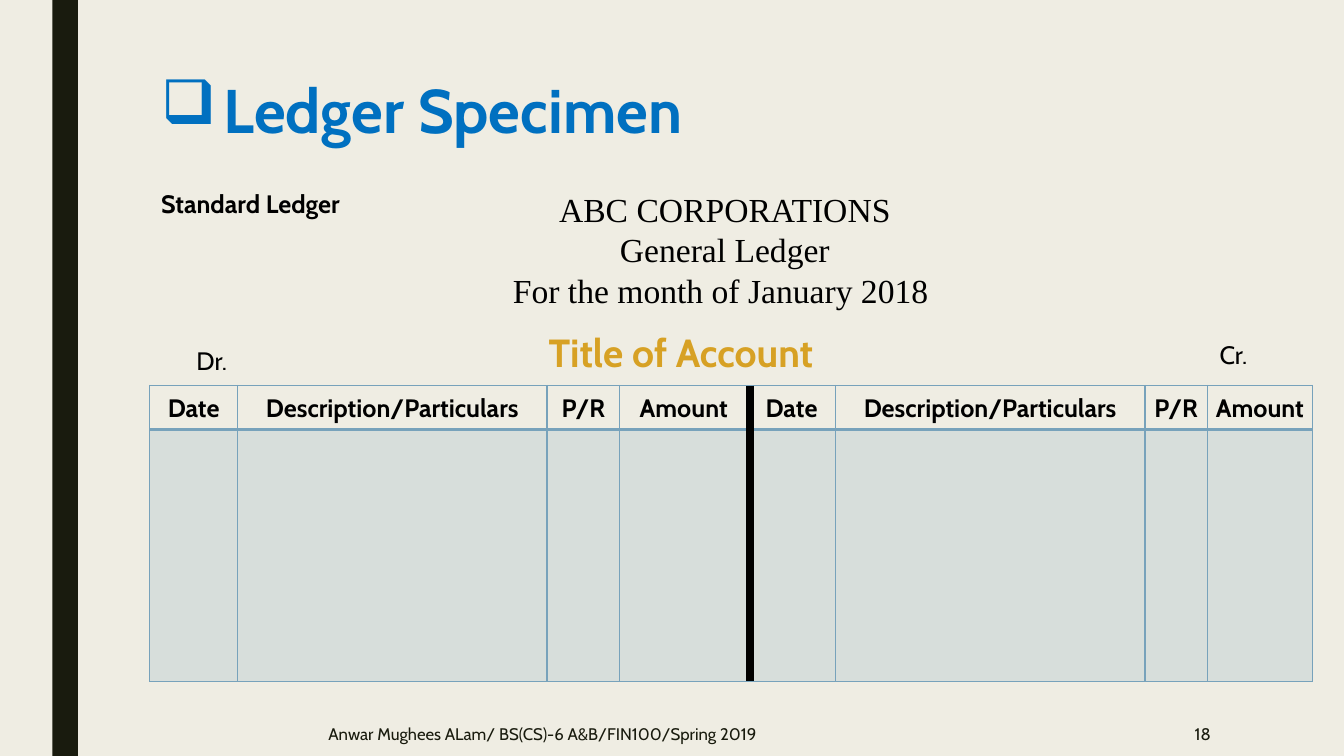
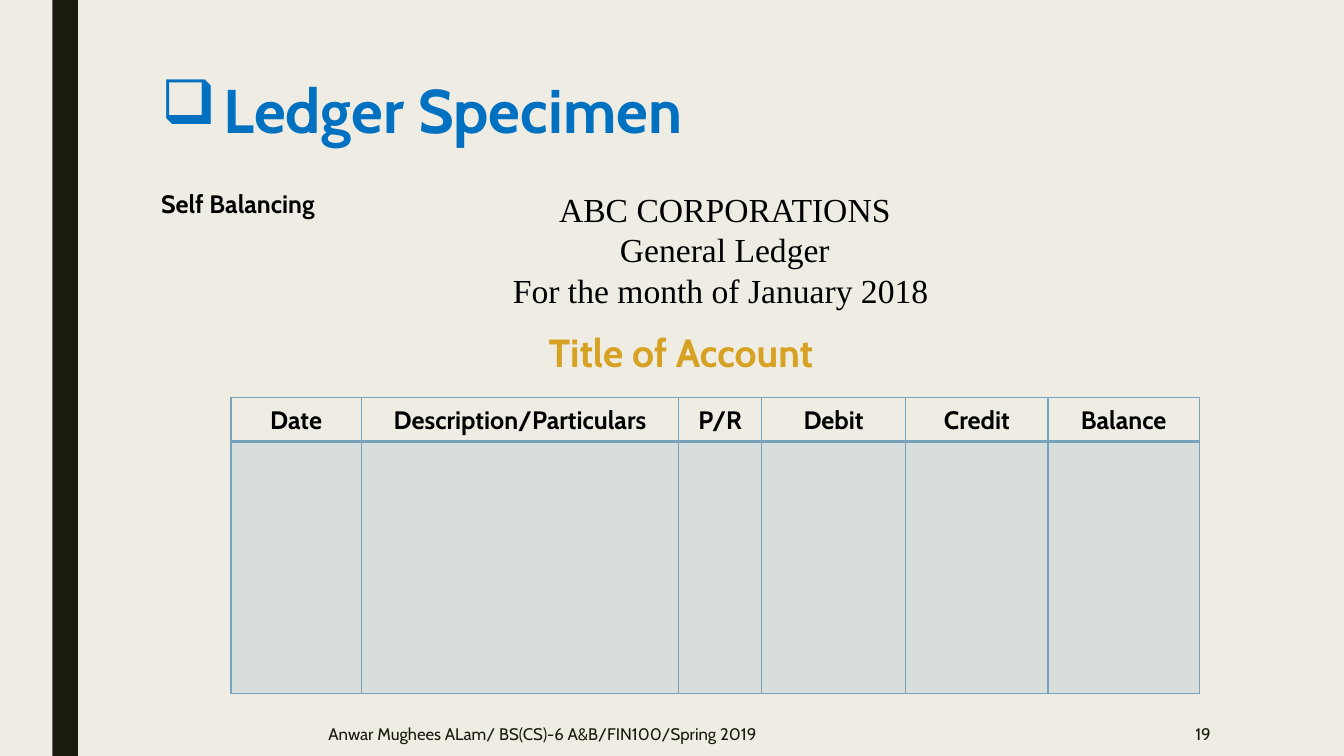
"""Build two ledger specimen slides."""
from dataclasses import dataclass

from lxml import etree
from pptx import Presentation
from pptx.dml.color import RGBColor
from pptx.enum.shapes import MSO_CONNECTOR, MSO_SHAPE
from pptx.enum.text import MSO_ANCHOR, PP_ALIGN
from pptx.oxml.ns import qn
from pptx.util import Inches, Pt

LEFT, CENTER, RIGHT = PP_ALIGN.LEFT, PP_ALIGN.CENTER, PP_ALIGN.RIGHT
TOP, MIDDLE = MSO_ANCHOR.TOP, MSO_ANCHOR.MIDDLE
RECTANGLE, STRAIGHT = MSO_SHAPE.RECTANGLE, MSO_CONNECTOR.STRAIGHT
WIDTH, HEIGHT = Inches(13.33), Inches(7.5)
COLORS = {
    "paper": "EFEDE3", "dark": "191B0E", "title": "0070C0",
    "account": "D7A124", "ink": "000000", "grid": "77A2BB",
}
FONT, SERIF = "Cabin", "Times New Roman"
HEADER_ROW, BODY_ROW = 5.8, 33.33


@dataclass(frozen=True)
class Box:
    """Hold left, top, width and height as percentages of the slide."""
    left: float
    top: float
    width: float
    height: float


@dataclass(frozen=True)
class Label:
    """Describe a text box and its single text style."""
    text: str
    box: Box
    size: int = 18
    color: str = "ink"
    font: str = FONT
    bold: bool = False
    align: PP_ALIGN = LEFT
    anchor: MSO_ANCHOR = TOP
    wrap: bool = True


@dataclass(frozen=True)
class Column:
    """Describe a ledger column, its width in percent of the slide."""
    heading: str
    width: float


@dataclass(frozen=True)
class Ledger:
    """Describe one ledger slide."""
    number: int
    name: str
    left: float
    top: float
    columns: tuple[Column, ...]
    sides: tuple[Label, ...] = ()
    divider: float | None = None


TITLE = Label("Ledger Specimen", Box(11.25, 10, 78.75, 21.6), 44, "title", bold=True)
SHARED = (
    Label("Anwar Mughees ALam/ BS(CS)-6 A&B/FIN100/Spring 2019",
          Box(23.7, 94.27, 51.5, 5.73), 12, "dark", anchor=MIDDLE),
    Label("ABC CORPORATIONS\nGeneral Ledger\nFor the month of January 2018 ",
          Box(37.28, 24.27, 33.3, 17.47), 24, font=SERIF, align=CENTER,
          anchor=MIDDLE, wrap=False),
    Label("Title of Account", Box(34.58, 42.8, 32.18, 7.6), 28, "account",
          bold=True, align=CENTER),
)
DATE, DETAILS = Column("Date", 6.53), Column("Description/Particulars", 23.03)
LEDGERS = (
    Ledger(18, "Standard Ledger", 11.15, 51,
           (DATE, DETAILS, Column("P/R", 5.4), Column("Amount", 9.53),
            DATE, DETAILS, Column("P/R", 4.65), Column("Amount", 7.8)),
           (Label("Dr.", Box(13.88, 45.07, 6.3, 5.33)),
            Label("Cr.", Box(90, 44.27, 6.3, 5.33))), 55.8),
    Ledger(19, "Self Balancing", 17.18, 52.6,
           (Column("Date", 9.7), Column("Description/Particulars", 23.63),
            Column("P/R", 6.15), Column("Debit", 10.73),
            Column("Credit", 10.6), Column("Balance", 11.25))),
)


def rgb(name: str) -> RGBColor:
    """Return a palette colour."""
    return RGBColor.from_string(COLORS[name])


def across(share: float) -> int:
    """Convert a percentage of the slide width to a length."""
    return round(WIDTH * share / 100)


def down(share: float) -> int:
    """Convert a percentage of the slide height to a length."""
    return round(HEIGHT * share / 100)


def place(box: Box) -> tuple[int, int, int, int]:
    """Convert a box to slide lengths."""
    return across(box.left), down(box.top), across(box.width), down(box.height)


def style(p, size: int, color: str, font: str, bold: bool, align: PP_ALIGN) -> None:
    """Format a paragraph and its runs."""
    p.alignment = align
    for r in p.runs:
        r.font.size, r.font.name, r.font.bold = Pt(size), font, bold
        r.font.color.rgb = rgb(color)


def add_label(s, label: Label):
    """Add a text box and return its text frame."""
    tf = s.shapes.add_textbox(*place(label.box)).text_frame
    tf.word_wrap, tf.vertical_anchor = label.wrap, label.anchor
    tf.text = label.text
    for p in tf.paragraphs:
        style(p, label.size, label.color, label.font, label.bold, label.align)
    return tf


def add_title(s) -> None:
    """Add the title with its hanging box bullet."""
    p = add_label(s, TITLE).paragraphs[0]
    p.line_spacing = 0.89
    pPr = p._p.get_or_add_pPr()
    pPr.set("marL", str(Inches(0.62)))
    pPr.set("indent", str(-Inches(0.62)))
    etree.SubElement(pPr, qn("a:buChar")).set("char", "❑")


def add_bar(s) -> None:
    """Add the dark vertical band."""
    sp = s.shapes.add_shape(RECTANGLE, *place(Box(3.9, 0, 1.9, 100)))
    sp.shadow.inherit = False
    sp.fill.solid()
    sp.fill.fore_color.rgb = rgb("dark")
    sp.line.fill.background()


def set_borders(cell, bottom: float, top: float) -> None:
    """Draw the four borders of a cell."""
    tcPr = cell._tc.get_or_add_tcPr()
    widths = {"a:lnL": 1, "a:lnR": 1, "a:lnT": top, "a:lnB": bottom}
    for i, (tag, width) in enumerate(widths.items()):
        ln = etree.Element(qn(tag), w=str(Pt(width)))
        fill = etree.SubElement(ln, qn("a:solidFill"))
        etree.SubElement(fill, qn("a:srgbClr"), val=COLORS["grid"])
        tcPr.insert(i, ln)


def add_ledger_table(s, ledger: Ledger) -> None:
    """Add the ledger table with a heading row and an empty body row."""
    box = Box(ledger.left, ledger.top, sum(c.width for c in ledger.columns),
              HEADER_ROW + BODY_ROW)
    table = s.shapes.add_table(2, len(ledger.columns), *place(box)).table
    table.first_row = table.horz_banding = False
    for row, height in zip(table.rows, (HEADER_ROW, BODY_ROW)):
        row.height = down(height)
    for i, column in enumerate(ledger.columns):
        table.columns[i].width = across(column.width)
        head, body = table.cell(0, i), table.cell(1, i)
        head.text = column.heading
        head.vertical_anchor = MIDDLE
        head.margin_left = head.margin_right = Inches(0.07)
        head.margin_top = head.margin_bottom = 0
        p = head.text_frame.paragraphs[0]
        p.line_spacing = 1.07
        style(p, 18, "ink", FONT, True, CENTER)
        head.fill.background()
        body.fill.solid()
        body.fill.fore_color.rgb = rgb("grid")
        color = body._tc.tcPr.find(".//" + qn("a:srgbClr"))
        etree.SubElement(color, qn("a:alpha"), val="20000")
        set_borders(head, bottom=2, top=1)
        set_borders(body, bottom=1, top=2)


def add_divider(s, x: float, top: float) -> None:
    """Add the heavy line between the debit and credit sides."""
    line = s.shapes.add_connector(STRAIGHT, across(x), down(top), across(x),
                                  down(top + HEADER_ROW + BODY_ROW))
    line.line.width = Pt(6)
    line.line.color.rgb = rgb("ink")
    etree.SubElement(line._element.spPr, qn("a:effectLst"))


def add_ledger_slide(prs, ledger: Ledger) -> None:
    """Add one complete ledger slide."""
    s = prs.slides.add_slide(prs.slide_layouts[6])
    s.background.fill.solid()
    s.background.fill.fore_color.rgb = rgb("paper")
    add_bar(s)
    add_title(s)
    number = Label(str(ledger.number), Box(77.7, 94.13, 13.13, 5.87), 12, "dark",
                   align=RIGHT, anchor=MIDDLE)
    name = Label(ledger.name, Box(11.25, 24.27, 22.4, 5.33), bold=True)
    for label in (*SHARED, number, name, *ledger.sides):
        add_label(s, label)
    add_ledger_table(s, ledger)
    if ledger.divider is not None:
        add_divider(s, ledger.divider, ledger.top)


def main() -> None:
    """Build and save the presentation."""
    prs = Presentation()
    prs.slide_width, prs.slide_height = WIDTH, HEIGHT
    for ledger in LEDGERS:
        add_ledger_slide(prs, ledger)
    prs.save("out.pptx")


if __name__ == "__main__":
    main()
